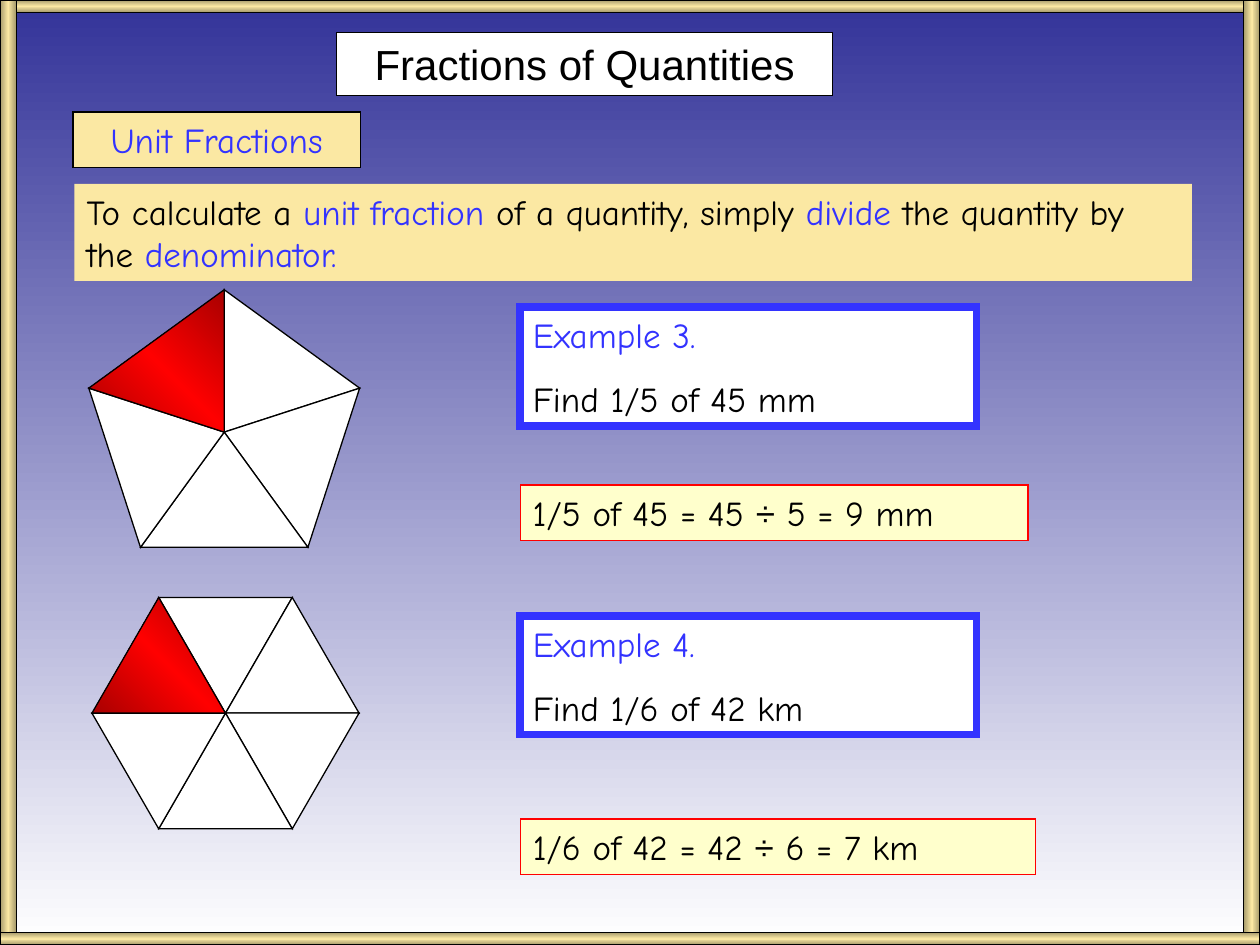
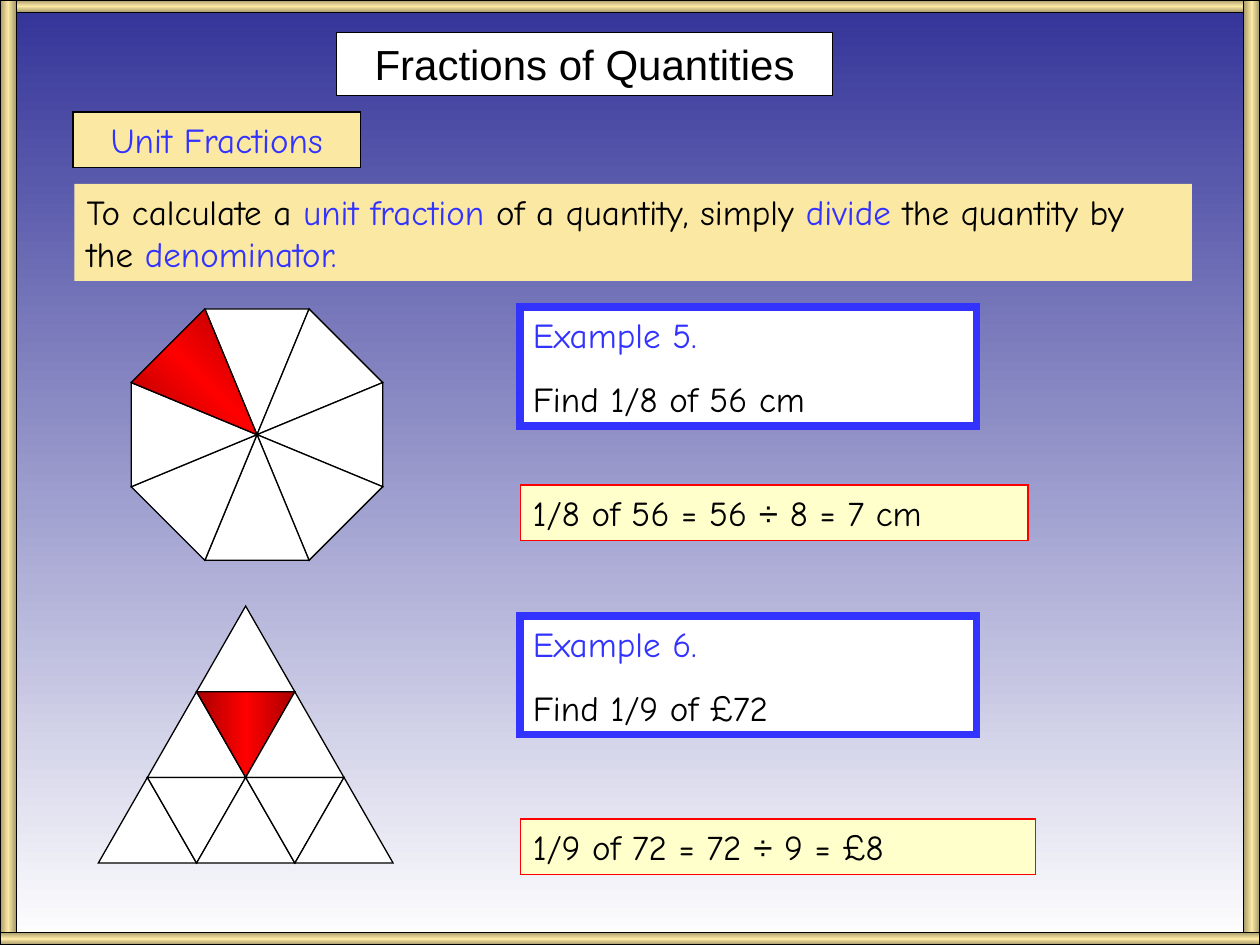
from copy import deepcopy
from math import cos, radians, sin

from lxml import etree
from pptx import Presentation
from pptx.dml.color import RGBColor as RGB
from pptx.enum.shapes import MSO_SHAPE as SHAPE
from pptx.enum.text import MSO_ANCHOR as ANCHOR, PP_ALIGN as ALIGN
from pptx.oxml.ns import qn
from pptx.util import Inches, Pt

HUES = {
    "black": "000000", "white": "FFFFFF", "blue": "3333FF", "navy": "333399",
    "red": "FF0000", "maroon": "A80000", "sand": "FBE8A3", "bronze": "A5996B",
    "cream": "FFFFCC",
}
HUES = {name: RGB.from_string(code) for name, code in HUES.items()}
RED = ("maroon", "red", "maroon")
GOLD = ("bronze", "sand", "bronze")


def style(shape, fill, line="black", width=0.75, angle=0):
    """Fill with one colour name, or with a three-stop blend, and outline."""
    shape.shadow.inherit = False
    if isinstance(fill, str):
        shape.fill.solid()
        shape.fill.fore_color.rgb = HUES[fill]
    else:
        shape.fill.gradient()
        shape.fill.gradient_angle = angle
        first = shape.fill.gradient_stops[0]._gs
        first.addnext(deepcopy(first))
        for i, stop in enumerate(shape.fill.gradient_stops):
            stop.position = i / 2
            stop.color.rgb = HUES[fill[i]]
    if line:
        shape.line.color.rgb = HUES[line]
        shape.line.width = Pt(width)
        edge = shape._element.spPr.find(qn("a:ln"))
        etree.SubElement(edge, qn("a:miter"), lim="800000")
    else:
        shape.line.fill.background()


def write(shape, paras, size=20, face="Comic Neue", align=ALIGN.LEFT):
    """Write paragraphs, each a list of (text, colour name) runs."""
    frame = shape.text_frame
    frame.word_wrap = True
    frame.vertical_anchor = ANCHOR.TOP
    for i, parts in enumerate(paras):
        para = frame.add_paragraph() if i else frame.paragraphs[0]
        if i:
            para.space_before = Pt(12.5)
        para.alignment = align
        para.font.size = Pt(size)
        para.font.name = face
        base = parts[0][1]
        para.font.color.rgb = HUES[base]
        for text, hue in parts:
            run = para.add_run()
            run.text = text
            if hue != base:
                run.font.color.rgb = HUES[hue]
            if text == "÷":
                run.font.name = "Arial"


# Left, top, width, height of each bar, and the angle of its blend
BARS = [
    (0, 0, 10, 0.1, 270), (0, 7.4, 10, 0.1, 270),
    (0, 0, 0.13, 7.4, 0), (9.87, 0, 0.13, 7.4, 0),
]
RULE = [
    ("To calculate a ", "black"), ("unit fraction", "blue"),
    (" of a quantity, simply ", "black"), ("divide", "blue"),
    (" the quantity by the ", "black"), ("denominator.", "blue"),
]
# Example top, answer top, answer width
ROWS = [(2.44, 3.85, 4.03), (4.89, 6.5, 4.09)]
# Denominator, quantity, number, result
SUMS = [
    [(5, "45 mm", 45, "9 mm"), (6, "42 km", 42, "7 km")],
    [(8, "56 cm", 56, "7 cm"), (9, "£72", 72, "£8")],
]
# Sides, centre, radius, angle where the red sector starts
WHEELS = [
    [(5, 1.78, 3.43, 1.13, 198), (6, 1.79, 5.66, 1.06, 180)],
    [(8, 2.04, 3.45, 1.08, 202.5)],
]
HALF, HIGH = 0.39, 0.68  # half width and height of a small triangle

deck = Presentation()
deck.slide_width, deck.slide_height = Inches(10), Inches(7.5)

for sums, wheels in zip(SUMS, WHEELS):
    slide = deck.slides.add_slide(deck.slide_layouts[6])
    shapes = slide.shapes
    back = slide.background.fill
    back.gradient()
    back.gradient_angle = 270
    for stop, hue in zip(back.gradient_stops, ("navy", "white")):
        stop.color.rgb = HUES[hue]

    for *at, angle in BARS:
        bar = shapes.add_shape(SHAPE.RECTANGLE, *map(Inches, at))
        style(bar, GOLD, angle=angle)

    title = shapes.add_shape(SHAPE.RECTANGLE, *map(Inches, (2.67, 0.26, 3.94, 0.5)))
    style(title, "white")
    write(title, [[("Fractions of Quantities", "black")]], 24, "Arial", ALIGN.CENTER)

    topic = shapes.add_shape(SHAPE.RECTANGLE, *map(Inches, (0.58, 0.89, 2.28, 0.44)))
    style(topic, "sand")
    write(topic, [[("Unit Fractions", "blue")]], align=ALIGN.CENTER)

    rule = shapes.add_shape(SHAPE.RECTANGLE, *map(Inches, (0.59, 1.46, 8.87, 0.77)))
    style(rule, "sand", None)
    write(rule, [RULE])

    first = 3 + 2 * SUMS.index(sums)
    for i, ((top, low, wide), (part, amount, num, result)) in enumerate(zip(ROWS, sums)):
        task = shapes.add_shape(SHAPE.RECTANGLE, *map(Inches, (4.13, top, 3.62, 0.94)))
        style(task, "white", "blue", 4.5)
        write(task, [[(f"Example {first + i}.", "blue")],
                     [(f"Find 1/{part} of {amount}", "black")]])
        answer = shapes.add_shape(SHAPE.RECTANGLE, *map(Inches, (4.13, low, wide, 0.44)))
        style(answer, "cream", "red")
        write(answer, [[(f"1/{part} of {num} = {num} ", "black"), ("÷", "black"),
                        (f" {part} = {result}", "black")]])

    # Polygons cut into equal sectors, the red one drawn last
    for sides, x, y, size, start in wheels:
        turns = [radians(start + 360 / sides * i) for i in range(1, sides + 2)]
        rim = [(Inches(x + size * cos(t)), Inches(y + size * sin(t))) for t in turns]
        for i in range(sides):
            pen = shapes.build_freeform(Inches(x), Inches(y))
            pen.add_line_segments(rim[i:i + 2], close=True)
            style(pen.convert_to_shape(), RED if i == sides - 1 else "white", angle=225)

# Large triangle of nine small ones on the last slide
for row in range(3):
    for col in range(2 * row + 1):
        at = (1.56 + HALF * (col - row), 4.81 + HIGH * row, 2 * HALF, HIGH)
        tile = shapes.add_shape(SHAPE.ISOSCELES_TRIANGLE, *map(Inches, at))
        tile.rotation = 180 * (col % 2)
        style(tile, RED if (row, col) == (1, 1) else "white")

deck.save("out.pptx")
